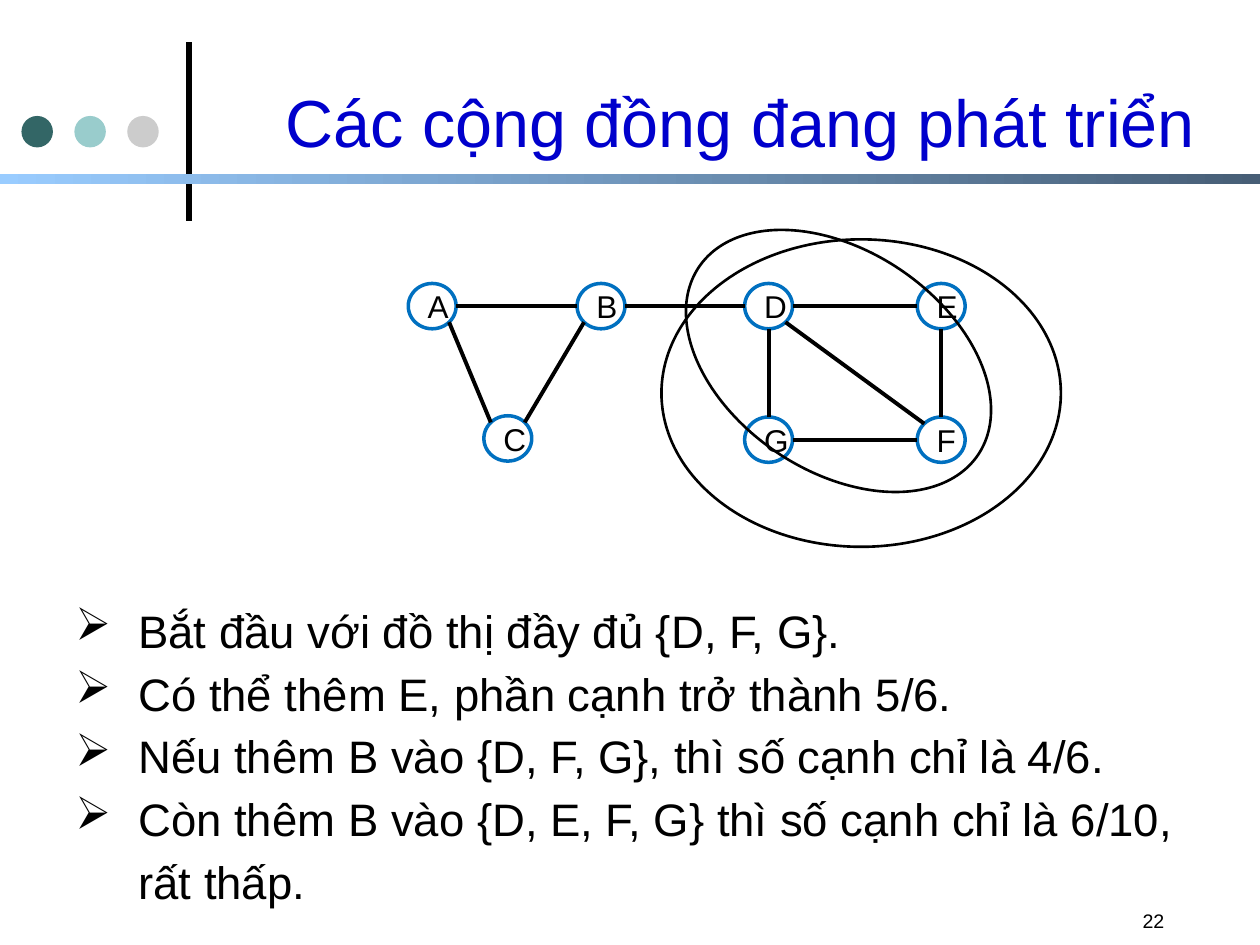
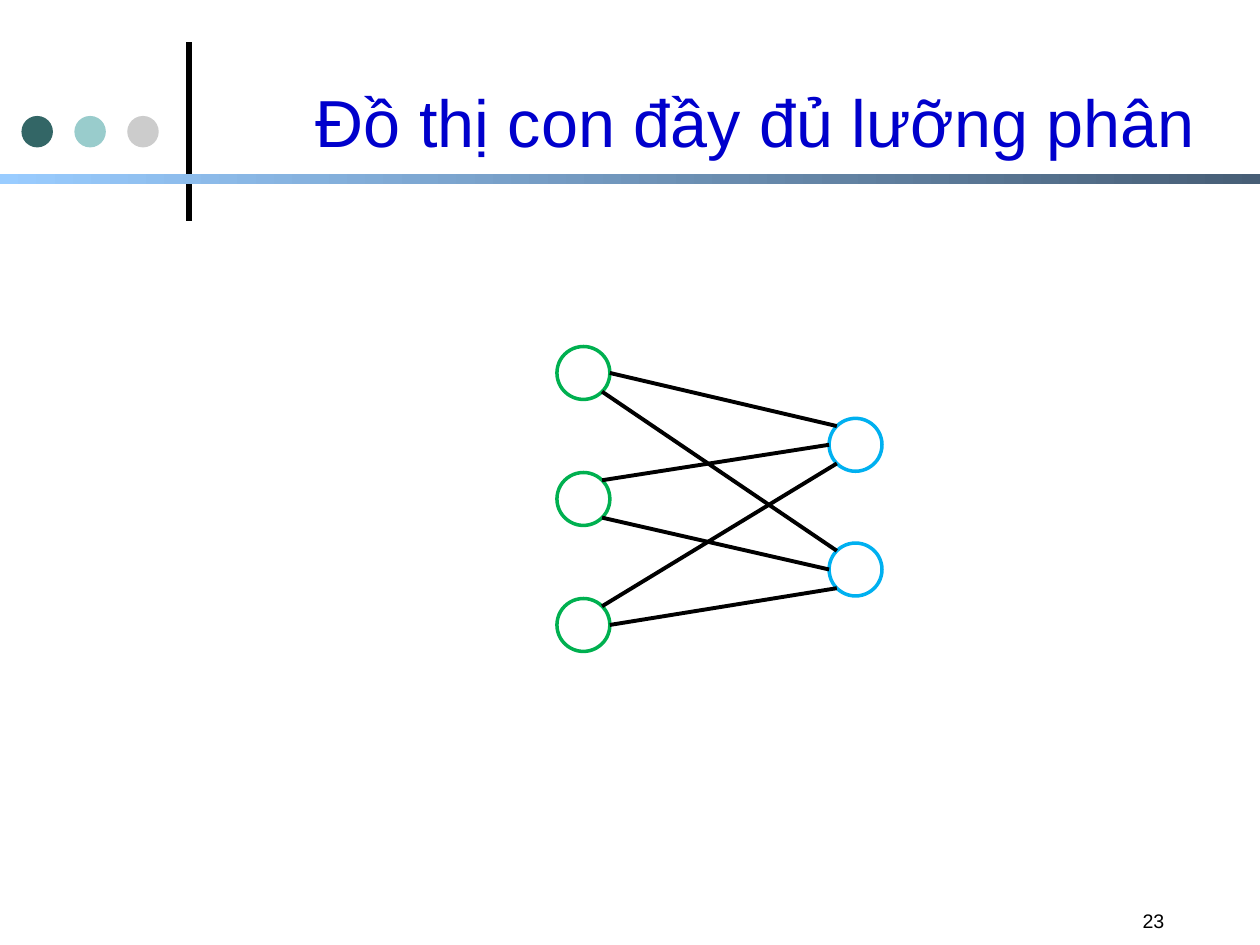
from math import cos, radians, sin

from lxml import etree
from pptx import Presentation
from pptx.dml.color import RGBColor
from pptx.enum import shapes, text
from pptx.oxml import ns
from pptx.util import Inches, Pt

BLACK = RGBColor(0x00, 0x00, 0x00)
TITLE_BLUE = RGBColor(0x00, 0x00, 0xCC)
DOTS = [RGBColor(0x33, 0x66, 0x66), RGBColor(0x99, 0xCC, 0xCC), RGBColor(0xCC, 0xCC, 0xCC)]
BAND = [RGBColor(0x99, 0xCC, 0xFF), RGBColor(0x47, 0x5E, 0x76)]
NODE_BLUE = RGBColor(0x00, 0x70, 0xC0)
LEFT_GREEN = RGBColor(0x00, 0xB0, 0x50)
RIGHT_BLUE = RGBColor(0x00, 0xB0, 0xF0)
FONT = "Arial"


def add_oval(slide, left, top, width, height, fill=None, outline=None, weight=2):
    oval = slide.shapes.add_shape(shapes.MSO_SHAPE.OVAL, Inches(left), Inches(top),
                                  Inches(width), Inches(height))
    oval.shadow.inherit = False
    if fill is None:
        oval.fill.background()
    else:
        oval.fill.solid()
        oval.fill.fore_color.rgb = fill
    if outline is None:
        oval.line.fill.background()
    else:
        oval.line.color.rgb = outline
        oval.line.width = Pt(weight)
    return oval


def add_line(slide, start, end, weight=2.25):
    line = slide.shapes.add_connector(shapes.MSO_CONNECTOR.STRAIGHT, *start, *end)
    line.line.color.rgb = BLACK
    line.line.width = Pt(weight)
    etree.SubElement(line._element.spPr, ns.qn("a:effectLst"))


deck = Presentation()
deck.slide_width, deck.slide_height = Inches(10), Inches(7.5)

# Shared frame: divider, dots, band, title and page number
slides = []
for number, heading in [(22, "Các cộng đồng đang phát triển"),
                        (23, "Đồ thị con đầy đủ lưỡng phân")]:
    slide = deck.slides.add_slide(deck.slide_layouts[6])
    slides.append(slide)
    add_line(slide, (Inches(1.5), Inches(1.75)), (Inches(1.5), Inches(0.33)), weight=3)
    for i, color in enumerate(DOTS):
        add_oval(slide, 0.17 + 0.42 * i, 0.92, 0.25, 0.25, fill=color)

    band = slide.shapes.add_shape(shapes.MSO_SHAPE.RECTANGLE, 0, Inches(1.38),
                                  Inches(10), Inches(0.08))
    band.shadow.inherit = False
    band.line.fill.background()
    band.fill.gradient()
    band.fill.gradient_angle = 0
    for stop, position, color in zip(band.fill.gradient_stops, (0, 1), BAND):
        stop.position = position
        stop.color.rgb = color

    title = slide.shapes.add_textbox(Inches(1.67), Inches(0.34), Inches(7.92), Inches(1.24))
    title.text_frame.vertical_anchor = text.MSO_ANCHOR.MIDDLE
    page = slide.shapes.add_textbox(Inches(8.97), Inches(7.2), Inches(0.8), Inches(0.3))
    for box, words, size, color, align, spacing in [
            (title, heading, 38, TITLE_BLUE, text.PP_ALIGN.RIGHT, 1.0),
            (page, str(number), 11.2, BLACK, text.PP_ALIGN.LEFT, 0.8)]:
        box.text_frame.word_wrap = True
        paragraph = box.text_frame.paragraphs[0]
        paragraph.text = words
        paragraph.alignment = align
        paragraph.line_spacing = spacing
        paragraph.font.name, paragraph.font.size = FONT, Pt(size)
        paragraph.font.color.rgb = color

communities, bipartite = slides

# Growing communities: labelled graph
nodes = {}
for letter, left, top in [("A", 3.24, 2.25), ("B", 4.58, 2.25), ("C", 3.84, 3.3),
                          ("D", 5.91, 2.25), ("E", 7.28, 2.25),
                          ("F", 7.28, 3.31), ("G", 5.91, 3.31)]:
    node = add_oval(communities, left, top, 0.38, 0.36, outline=NODE_BLUE)
    node.text_frame.vertical_anchor = text.MSO_ANCHOR.MIDDLE
    label = node.text_frame.paragraphs[0]
    label.text = letter
    label.alignment = text.PP_ALIGN.CENTER
    label.font.name, label.font.size = FONT, Pt(18)
    label.font.color.rgb = BLACK
    nodes[letter] = node

# Complete bipartite graph
for i in range(3):
    nodes[f"left{i}"] = add_oval(bipartite, 4.42, 2.75 + i, 0.42, 0.42, outline=LEFT_GREEN)
for i, top in enumerate((3.32, 4.31)):
    nodes[f"right{i}"] = add_oval(bipartite, 6.58, top, 0.42, 0.42, outline=RIGHT_BLUE)

# Each edge: node and angle on its rim, clockwise from the right, for both ends
community_edges = [
    ("A", 0, "B", 180), ("A", 45, "C", 225), ("C", 315, "B", 135),
    ("B", 0, "D", 180), ("D", 0, "E", 180), ("D", 90, "G", 270),
    ("E", 90, "F", 270), ("G", 0, "F", 180), ("D", 45, "F", 225)]
bipartite_edges = [
    ("left0", 0, "right0", 225), ("left0", 45, "right1", 225),
    ("left1", 315, "right0", 180), ("left1", 45, "right1", 180),
    ("left2", 315, "right0", 135), ("left2", 0, "right1", 135)]
for slide, edges in [(communities, community_edges), (bipartite, bipartite_edges)]:
    for source, source_angle, target, target_angle in edges:
        ends = []
        for name, angle in [(source, source_angle), (target, target_angle)]:
            node = nodes[name]
            ends.append((round(node.left + node.width / 2 * (1 + cos(radians(angle)))),
                         round(node.top + node.height / 2 * (1 + sin(radians(angle))))))
        add_line(slide, *ends)

inner_community = add_oval(communities, 5.32, 1.99, 2.67, 1.75, outline=BLACK, weight=1.5)
inner_community.rotation = 33.9
add_oval(communities, 5.25, 1.9, 3.17, 2.44, outline=BLACK, weight=1.5)

steps = communities.shapes.add_textbox(Inches(0.5), Inches(4.67), Inches(9.33), Inches(2.5))
steps.text_frame.word_wrap = True
for i, sentence in enumerate([
        "Bắt đầu với đồ thị đầy đủ {D, F, G}.",
        "Có thể thêm E, phần cạnh trở thành 5/6.",
        "Nếu thêm B vào {D, F, G}, thì số cạnh chỉ là 4/6.",
        "Còn thêm B vào {D, E, F, G} thì số cạnh chỉ là 6/10, rất thấp."]):
    step = steps.text_frame.add_paragraph() if i else steps.text_frame.paragraphs[0]
    step.text = sentence
    properties = step._p.get_or_add_pPr()
    properties.set("marL", str(Inches(0.5)))
    properties.set("indent", str(-Inches(0.5)))
    bullet_color = etree.SubElement(properties, ns.qn("a:buClr"))
    etree.SubElement(bullet_color, ns.qn("a:srgbClr"), val=str(BLACK))
    etree.SubElement(properties, ns.qn("a:buChar"), char="➢")
    step.line_spacing = 1.15
    step.font.name, step.font.size = FONT, Pt(26)
    step.font.color.rgb = BLACK

deck.save("out.pptx")
